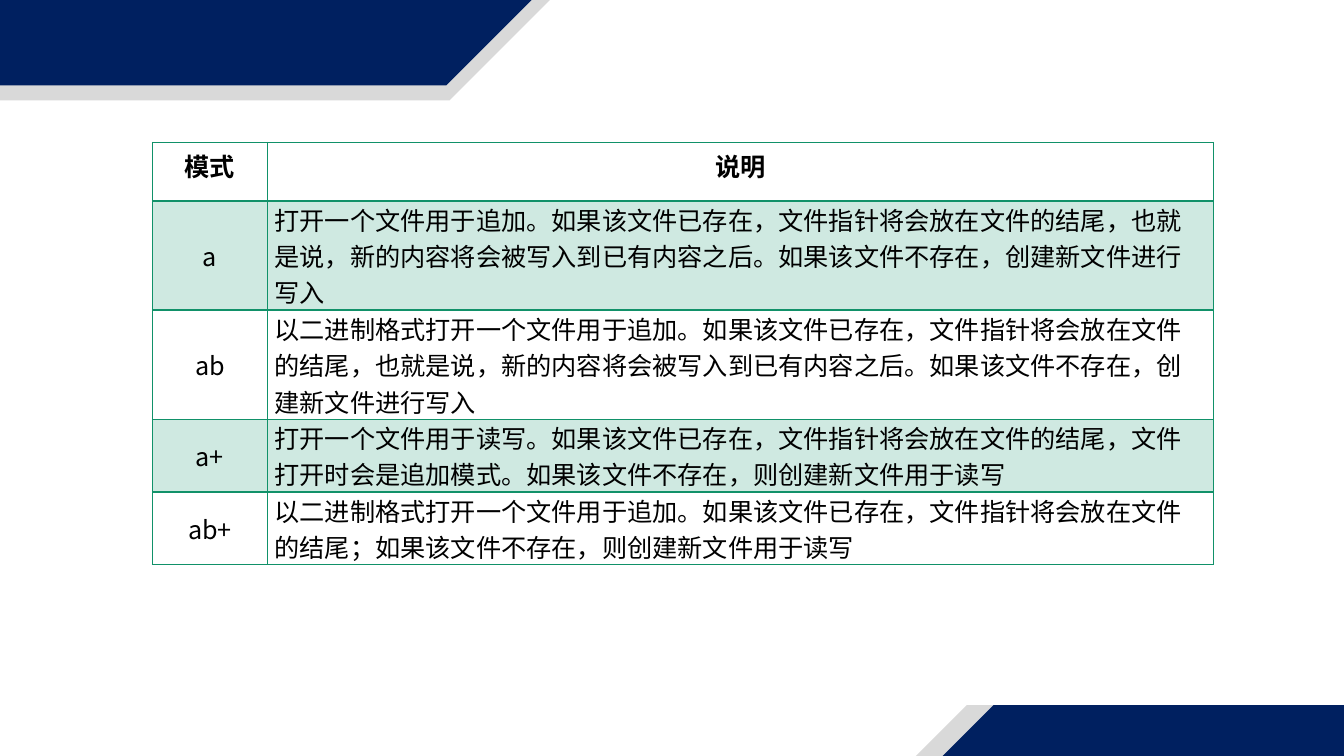
from lxml.etree import SubElement
from pptx import Presentation
from pptx.dml.color import RGBColor
from pptx.enum.shapes import MSO_SHAPE
from pptx.enum.text import MSO_ANCHOR, PP_ALIGN
from pptx.oxml.ns import qn
from pptx.util import Cm, Pt

COLORS = {
    "navy": "002060",
    "grey": "D9D9D9",
    "green": "119169",
    "white": "FFFFFF",
    "black": "000000",
}
FONT = "Noto Sans CJK SC"
SLIDE_BOX = (0, 0, 33.87, 19.05)
TABLE_BOX = (3.84, 3.59, 26.75, 10.34)
MODE_WIDTH = 2.9
ROW_HEIGHTS = (1.47, 2.44, 2.44, 1.63, 1.63)
BAND_WIDTH, BAND_HEIGHT = 18.82, 2.59
ROWS = (
    ("模式", "说明"),
    ("a", "打开一个文件用于追加。如果该文件已存在，文件指针将会放在文件的结尾，也就是说，新的内容将会被写入到已有内容之后。如果该文件不存在，创建新文件进行写入"),
    ("ab", "以二进制格式打开一个文件用于追加。如果该文件已存在，文件指针将会放在文件的结尾，也就是说，新的内容将会被写入到已有内容之后。如果该文件不存在，创建新文件进行写入"),
    ("a+", "打开一个文件用于读写。如果该文件已存在，文件指针将会放在文件的结尾，文件打开时会是追加模式。如果该文件不存在，则创建新文件用于读写"),
    ("ab+", "以二进制格式打开一个文件用于追加。如果该文件已存在，文件指针将会放在文件的结尾；如果该文件不存在，则创建新文件用于读写"),
)


def color(name):
    return RGBColor.from_string(COLORS[name])


def write_text(frame, text, size=18, bold=False, align=PP_ALIGN.LEFT, spacing=26):
    paragraph = frame.paragraphs[0]
    paragraph.alignment = align
    paragraph.line_spacing = Pt(spacing)
    run = paragraph.add_run()
    run.text = text
    run.font.size = Pt(size)
    run.font.bold = bold
    run.font.name = FONT
    run.font.color.rgb = color("black")
    SubElement(run.font._element, qn("a:ea"), typeface=FONT)


def add_band(slide, left, top, color_name):
    band = slide.shapes.add_shape(
        MSO_SHAPE.PARALLELOGRAM, Cm(left), Cm(top), Cm(BAND_WIDTH), Cm(BAND_HEIGHT))
    band.adjustments[0] = 1
    band.shadow.inherit = False
    band.fill.solid()
    band.fill.fore_color.rgb = color(color_name)
    band.line.fill.background()


def add_corner_bands(slide, box):
    left, top, width, height = box
    add_band(slide, left - 4.9, top - 0.06, "grey")
    add_band(slide, left - 4.98, top - 0.44, "navy")
    add_band(slide, left + width - 12.1, top + height - 1.28, "grey")
    add_band(slide, left + width - 11.42, top + height - 1.28, "navy")


def set_borders(cell, top=1, bottom=1):
    properties = cell._tc.get_or_add_tcPr()
    for side, points in (("lnL", 1), ("lnR", 1), ("lnT", top), ("lnB", bottom)):
        line = SubElement(properties, qn(f"a:{side}"), w=str(Pt(points)))
        fill = SubElement(line, qn("a:solidFill"))
        SubElement(fill, qn("a:srgbClr"), val=COLORS["green"])


def fill_cell(cell, color_name, opacity=100):
    cell.fill.solid()
    cell.fill.fore_color.rgb = color(color_name)
    if opacity < 100:
        shade = cell._tc.tcPr.find(f"{qn('a:solidFill')}/{qn('a:srgbClr')}")
        SubElement(shade, qn("a:alpha"), val=str(opacity * 1000))


def add_mode_table(slide, box):
    left, top, width, height = map(Cm, box)
    table = slide.shapes.add_table(len(ROWS), 2, left, top, width, height).table
    table.first_row = False
    table.horz_banding = False
    table.columns[0].width = Cm(MODE_WIDTH)
    table.columns[1].width = width - Cm(MODE_WIDTH)
    for row_index, texts in enumerate(ROWS):
        table.rows[row_index].height = Cm(ROW_HEIGHTS[row_index])
        is_header = row_index == 0
        for column_index, text in enumerate(texts):
            cell = table.cell(row_index, column_index)
            centred = is_header or column_index == 0
            write_text(cell.text_frame, text, bold=is_header,
                       align=PP_ALIGN.CENTER if centred else PP_ALIGN.LEFT)
            set_borders(cell, top=2 if row_index == 1 else 1, bottom=2 if is_header else 1)
            if row_index % 2:
                fill_cell(cell, "green", opacity=20)
            else:
                fill_cell(cell, "white")
            if not is_header:
                cell.vertical_anchor = MSO_ANCHOR.MIDDLE
                cell.margin_left = Cm(0.18)
                cell.margin_right = Cm(0.18 if centred else 0.4)
                cell.margin_top = cell.margin_bottom = 0


def main():
    presentation = Presentation()
    presentation.slide_width = Cm(SLIDE_BOX[2])
    presentation.slide_height = Cm(SLIDE_BOX[3])
    slide = presentation.slides.add_slide(presentation.slide_layouts[6])
    add_corner_bands(slide, SLIDE_BOX)
    add_mode_table(slide, TABLE_BOX)
    presentation.save("out.pptx")


if __name__ == "__main__":
    main()
